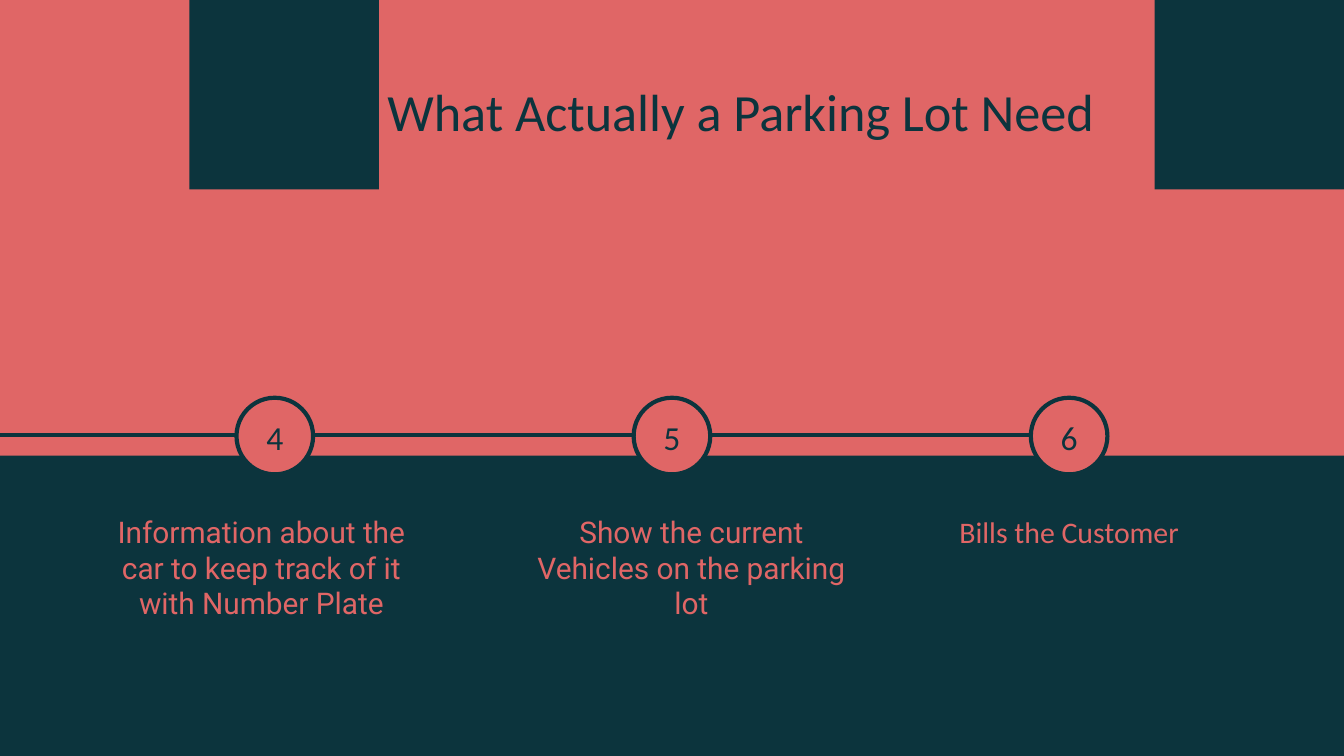
from lxml import etree
from pptx import Presentation
from pptx.dml.color import RGBColor
from pptx.enum import shapes, text
from pptx.oxml.ns import qn
from pptx.util import Inches, Pt

CORAL = RGBColor(0xE0, 0x66, 0x66)
TEAL = RGBColor(0x0C, 0x34, 0x3D)

SQUARE = 1.41
CIRCLE = 0.57
CIRCLE_TOP = 2.96
FIRST_CIRCLE, CIRCLE_STEP = 1.76, 2.955
LINE_Y = 3.24
LINE_WIDTH = Pt(2.25)

# number, caption, font, caption left, width, height
STEPS = [
    ("4", "Information about the car to keep track of it with Number Plate",
     "Roboto", 0.75, 2.39, 1.14),
    ("5", "Show the current Vehicles on the parking lot",
     "Roboto", 3.88, 2.53, 0.85),
    ("6", "Bills the Customer", "Calibri", 6.86, 2.19, 0.85),
]


def add_filled(page, kind, left, top, width, height, color):
    shape = page.shapes.add_shape(
        kind, Inches(left), Inches(top), Inches(width), Inches(height))
    shape.shadow.inherit = False
    shape.fill.solid()
    shape.fill.fore_color.rgb = color
    shape.line.fill.background()
    return shape


def write_centred(shape, words, font, size, color, anchor):
    frame = shape.text_frame
    frame.word_wrap = True
    frame.vertical_anchor = anchor
    frame.margin_left = frame.margin_right = Inches(0.1)
    frame.margin_top = frame.margin_bottom = Inches(0.1)
    para = frame.paragraphs[0]
    para.text = words
    para.alignment = text.PP_ALIGN.CENTER
    para.font.name = font
    para.font.size = Pt(size)
    para.font.color.rgb = color


def add_label(page, words, left, top, width, height, font, size, color):
    box = page.shapes.add_textbox(
        Inches(left), Inches(top), Inches(width), Inches(height))
    write_centred(box, words, font, size, color, text.MSO_ANCHOR.TOP)


def add_number(page, number, left):
    circle = add_filled(page, shapes.MSO_SHAPE.OVAL,
                        left, CIRCLE_TOP, CIRCLE, CIRCLE, CORAL)
    circle.line.color.rgb = TEAL
    circle.line.width = LINE_WIDTH
    write_centred(circle, number, "Calibri", 18, TEAL, text.MSO_ANCHOR.MIDDLE)
    circle.text_frame.margin_top = Inches(0.12)


def add_timeline_link(page, start, end):
    link = page.shapes.add_connector(
        shapes.MSO_CONNECTOR.STRAIGHT,
        Inches(start), Inches(LINE_Y), Inches(end), Inches(LINE_Y))
    link.line.color.rgb = TEAL
    link.line.width = LINE_WIDTH
    etree.SubElement(link._element.spPr, qn("a:effectLst"))


def main():
    deck = Presentation()
    deck.slide_width, deck.slide_height = Inches(10), Inches(5.625)
    page = deck.slides.add_slide(deck.slide_layouts[6])
    page.background.fill.solid()
    page.background.fill.fore_color.rgb = CORAL

    rectangle = shapes.MSO_SHAPE.RECTANGLE
    add_filled(page, rectangle, -0.09, 3.39, 10.16, 2.3, TEAL)
    for left in (10 - SQUARE, SQUARE):
        add_filled(page, rectangle, left, 0, SQUARE, SQUARE, TEAL)

    add_label(page, "What Actually a Parking Lot Need",
              0.85, 0.49, 9.32, 0.63, "Calibri", 28, TEAL)

    link_start = -0.07
    for index, (number, caption, font, left, width, height) in enumerate(STEPS):
        circle_left = FIRST_CIRCLE + index * CIRCLE_STEP
        add_label(page, caption, left, 3.72, width, height, font, 16, CORAL)
        add_number(page, number, circle_left)
        add_timeline_link(page, link_start, circle_left)
        link_start = circle_left + CIRCLE

    deck.save("out.pptx")


if __name__ == "__main__":
    main()
